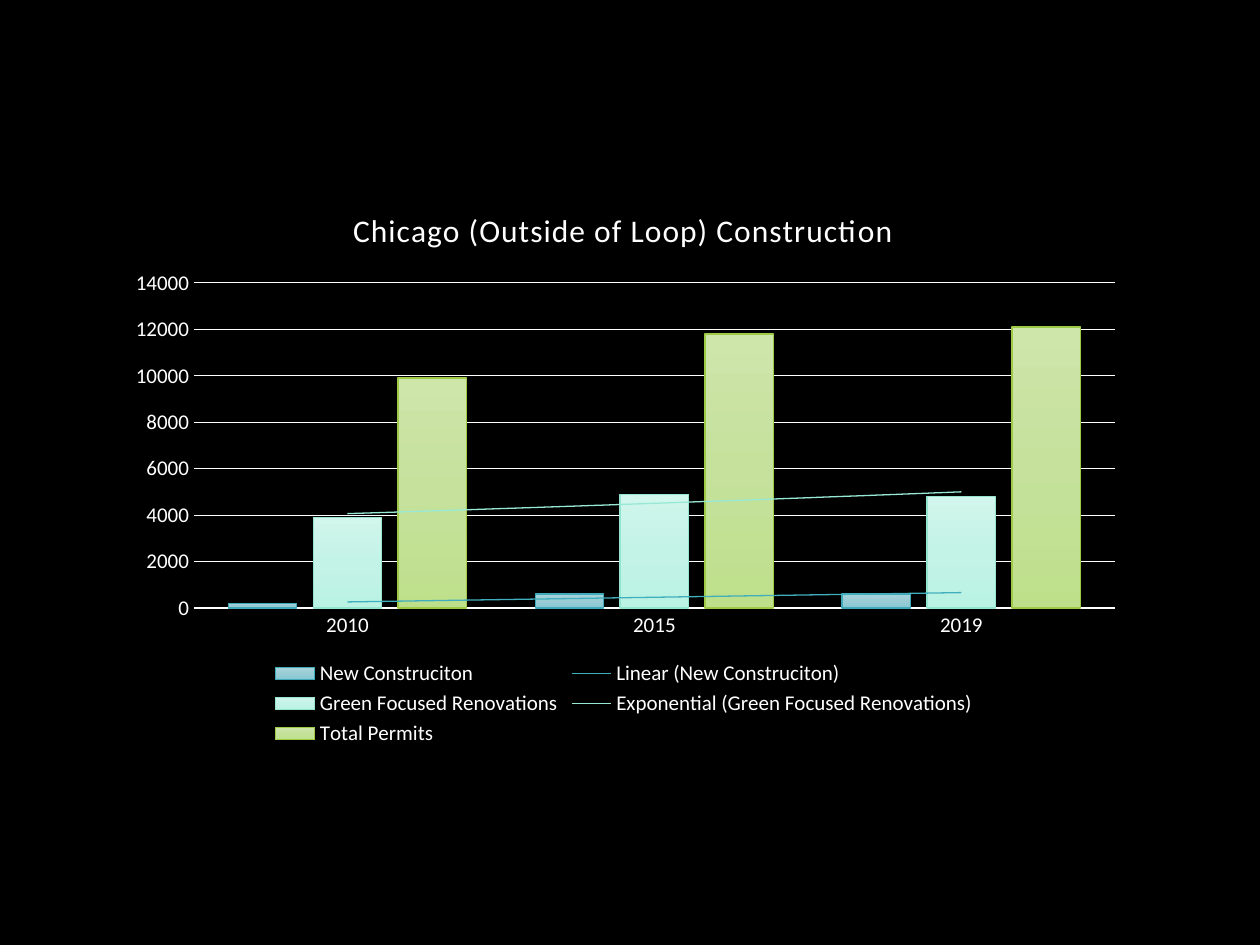
import lxml.etree
import pptx
import pptx.chart.data
import pptx.dml.color
import pptx.enum.chart
import pptx.oxml
import pptx.oxml.ns
import pptx.util
from pptx.dml.color import RGBColor
from pptx.util import Inches

BLACK = RGBColor(0x00, 0x00, 0x00)
WHITE = RGBColor(0xFF, 0xFF, 0xFF)
TEAL_EDGE = RGBColor(0x40, 0xAA, 0xB9)
MINT_EDGE = RGBColor(0x94, 0xE4, 0xD0)
GREEN_EDGE = RGBColor(0x9E, 0xCA, 0x47)
TEAL_TREND = RGBColor(0x41, 0xAE, 0xBD)
MINT_TREND = RGBColor(0x97, 0xE9, 0xD5)
TEAL_SHADES = [RGBColor(0xA7, 0xD3, 0xDB), RGBColor(0x99, 0xCC, 0xD5), RGBColor(0x86, 0xC7, 0xD2)]
MINT_SHADES = [RGBColor(0xD1, 0xF6, 0xEC), RGBColor(0xC3, 0xF2, 0xE6), RGBColor(0xBA, 0xF3, 0xE4)]
GREEN_SHADES = [RGBColor(0xCE, 0xE6, 0xAA), RGBColor(0xC5, 0xE1, 0x9C), RGBColor(0xBE, 0xE0, 0x8A)]

NAMESPACES = pptx.oxml.ns.nsdecls("c", "a")
THIN = pptx.util.Pt(0.75)

permits = [
    ("New Construciton", (200, 600, 600), TEAL_SHADES, TEAL_EDGE, ("linear", TEAL_TREND)),
    ("Green Focused Renovations", (3900, 4900, 4800), MINT_SHADES, MINT_EDGE, ("exp", MINT_TREND)),
    ("Total Permits", (9900, 11800, 12100), GREEN_SHADES, GREEN_EDGE, None),
]


def set_font(font, size):
    font.name = "Calibri"
    font.size = pptx.util.Pt(size)
    font.bold = False
    font.color.rgb = WHITE


def manual_layout(target, **places):
    entries = "".join(f'<c:{key} val="{value}"/>' for key, value in places.items())
    return pptx.oxml.parse_xml(
        f"<c:layout {NAMESPACES}><c:manualLayout>{target}"
        f'<c:xMode val="edge"/><c:yMode val="edge"/>{entries}'
        "</c:manualLayout></c:layout>"
    )


presentation = pptx.Presentation()
presentation.slide_width = Inches(10)
presentation.slide_height = Inches(7.5)
slide = presentation.slides.add_slide(presentation.slide_layouts[6])
slide.background.fill.solid()
slide.background.fill.fore_color.rgb = BLACK

permit_data = pptx.chart.data.CategoryChartData()
permit_data.categories = ["2010", "2015", "2019"]
for name, counts, shades, edge, trend in permits:
    permit_data.add_series(name, counts)
chart = slide.shapes.add_chart(
    pptx.enum.chart.XL_CHART_TYPE.COLUMN_CLUSTERED,
    Inches(0.89), Inches(1.43), Inches(8.12), Inches(4.53), permit_data,
).chart
set_font(chart.font, 10)

chart.has_title = True
heading = chart.chart_title.text_frame.paragraphs[0]
heading.text = "Chicago (Outside of Loop) Construction"
set_font(heading.runs[0].font, 18)
heading.runs[0].font._element.set("spc", "60")
title_element = chart.chart_title._element
for old_layout in title_element.findall(pptx.oxml.ns.qn("c:layout")):
    title_element.remove(old_layout)
title_element.find(pptx.oxml.ns.qn("c:tx")).addnext(manual_layout("", x=0.23, y=0.04))
chart.chart_title.include_in_layout = False

plot_area = chart._chartSpace.chart.plotArea
for old_layout in plot_area.findall(pptx.oxml.ns.qn("c:layout")):
    plot_area.remove(old_layout)
plot_area.insert(0, manual_layout('<c:layoutTarget val="inner"/>', x=0.08, y=0.18, w=0.9, h=0.57))

chart.has_legend = True
chart.legend.position = pptx.enum.chart.XL_LEGEND_POSITION.BOTTOM
chart.legend.include_in_layout = False
set_font(chart.legend.font, 12)

for axis in (chart.category_axis, chart.value_axis):
    axis.major_tick_mark = pptx.enum.chart.XL_TICK_MARK.NONE
    axis.minor_tick_mark = pptx.enum.chart.XL_TICK_MARK.NONE
    set_font(axis.tick_labels.font, 12)
chart.value_axis.minimum_scale = 0
chart.value_axis.maximum_scale = 14000
chart.value_axis.major_unit = 2000
chart.value_axis.format.line.fill.background()
chart.value_axis.has_major_gridlines = True
for rule in (chart.category_axis.format.line, chart.value_axis.major_gridlines.format.line):
    rule.color.rgb = WHITE
    rule.width = THIN

columns = chart.plots[0]
columns.gap_width = 100
columns.overlap = -24
columns.vary_by_categories = False

for series, (name, counts, shades, edge, trend) in zip(columns.series, permits):
    series.invert_if_negative = False
    series.format.line.color.rgb = edge
    series.format.line.width = THIN
    stops = "".join(
        f'<a:gs pos="{position}"><a:srgbClr val="{shade}"/></a:gs>'
        for position, shade in zip((0, 50000, 100000), shades)
    )
    series._element.get_or_add_spPr().insert(0, pptx.oxml.parse_xml(
        f'<a:gradFill {NAMESPACES} rotWithShape="1"><a:gsLst>{stops}</a:gsLst>'
        '<a:lin ang="5400000" scaled="0"/></a:gradFill>'
    ))
    if trend:
        kind, color = trend
        series._element.find(pptx.oxml.ns.qn("c:cat")).addprevious(pptx.oxml.parse_xml(
            f'<c:trendline {NAMESPACES}><c:spPr><a:ln w="{int(THIN)}"><a:solidFill>'
            f'<a:srgbClr val="{color}"/></a:solidFill></a:ln></c:spPr>'
            f'<c:trendlineType val="{kind}"/><c:dispRSqr val="0"/><c:dispEq val="0"/>'
            "</c:trendline>"
        ))

presentation.save("out.pptx")
